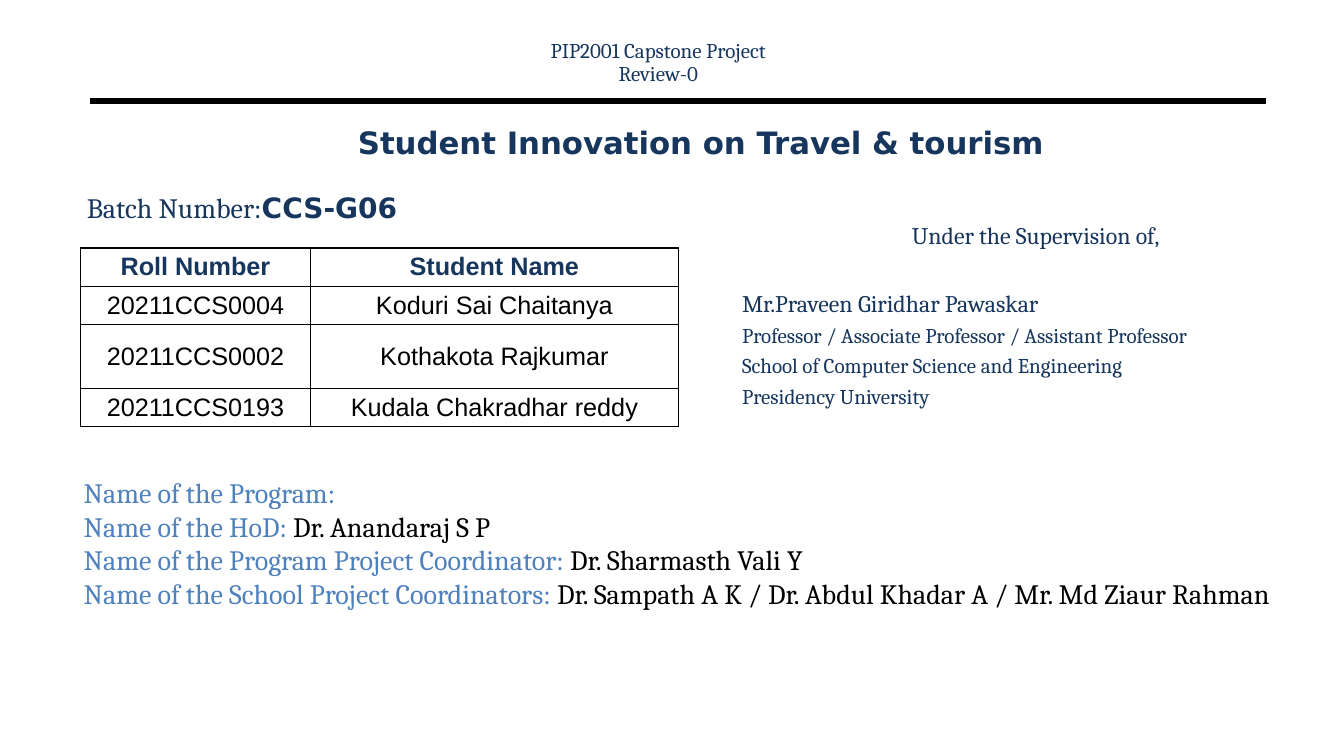
from dataclasses import dataclass

from lxml.etree import SubElement
from pptx import Presentation
from pptx.dml.color import RGBColor
from pptx.enum.shapes import MSO_CONNECTOR
from pptx.enum.text import MSO_ANCHOR, MSO_AUTO_SIZE, PP_ALIGN
from pptx.oxml.ns import qn
from pptx.util import Inches, Pt

NAVY = RGBColor(0x17, 0x36, 0x5D)
BLUE = RGBColor(0x4F, 0x81, 0xBD)
BLACK = RGBColor(0x00, 0x00, 0x00)

SERIF = "Cambria"
SANS = "DejaVu Sans"
TABLE_FONT = "Arial"

# The slide is divided into 100 columns and 100 rows
SLIDE_WIDTH, SLIDE_HEIGHT = Inches(13.33), Inches(7.5)
INSET = Inches(0.05)


@dataclass(frozen=True)
class Box:
    left: float
    top: float
    width: float
    height: float


@dataclass(frozen=True)
class SupervisorLine:
    text: str
    size: float
    space_before: float


@dataclass(frozen=True)
class StaffRole:
    label: str
    names: str = ""


HEADER_BOX = Box(33.08, 4.93, 31.8, 8)
TITLE_BOX = Box(6.3, 14.8, 91.68, 8)
BATCH_BOX = Box(6.08, 24.53, 32.56, 7.87)
SUPERVISOR_BOX = Box(54.84, 28.53, 44.48, 29.47)
STAFF_BOX = Box(5.85, 62.27, 94.15, 18.4)
RULE_LEFT, RULE_RIGHT, RULE_ROW = 6.68, 94.22, 13.33
TABLE_LEFT, TABLE_TOP = 6, 32.8
TABLE_COLUMNS = (17.1, 27.38)
TABLE_ROWS = (5, 5, 8.4, 5)

STUDENTS = (
    ("Roll Number", "Student Name"),
    ("20211CCS0004", "Koduri Sai Chaitanya"),
    ("20211CCS0002", "Kothakota Rajkumar"),
    ("20211CCS0193", "Kudala Chakradhar reddy"),
)
SUPERVISOR = (
    SupervisorLine("Mr.Praveen Giridhar Pawaskar", 17, 26),
    SupervisorLine("Professor / Associate Professor / Assistant Professor", 15, 2),
    SupervisorLine("School of Computer Science and Engineering", 15, 2),
    SupervisorLine("Presidency University", 15, 2),
)
STAFF = (
    StaffRole("Name of the Program:"),
    StaffRole("Name of the HoD: ", "Dr. Anandaraj S P"),
    StaffRole("Name of the Program Project Coordinator: ", "Dr. Sharmasth Vali Y"),
    StaffRole("Name of the School Project Coordinators: ",
              "Dr. Sampath A K / Dr. Abdul Khadar A / Mr. Md Ziaur Rahman"),
)


def across(columns: float) -> int:
    return round(SLIDE_WIDTH * columns / 100)


def down(rows: float) -> int:
    return round(SLIDE_HEIGHT * rows / 100)


def place(shape, box: Box) -> None:
    shape.left, shape.top = across(box.left), down(box.top)
    shape.width, shape.height = across(box.width), down(box.height)


def prepare_frame(text_frame, anchor=MSO_ANCHOR.TOP):
    text_frame.word_wrap = True
    text_frame.auto_size = MSO_AUTO_SIZE.NONE
    text_frame.vertical_anchor = anchor
    text_frame.margin_left = text_frame.margin_right = INSET
    text_frame.margin_top = text_frame.margin_bottom = INSET
    return text_frame


def add_text_box(slide, box: Box):
    shape = slide.shapes.add_textbox(0, 0, 0, 0)
    place(shape, box)
    return prepare_frame(shape.text_frame)


def next_paragraph(text_frame, align=PP_ALIGN.LEFT, line_spacing: float = 1.0,
                   space_before: float = 0):
    paragraph = text_frame.paragraphs[-1]
    if paragraph.runs:
        paragraph = text_frame.add_paragraph()
    paragraph.alignment = align
    paragraph.line_spacing = line_spacing
    paragraph.space_before = Pt(space_before)
    return paragraph


def write(paragraph, text: str, size: float, font: str = SERIF,
          color: RGBColor = NAVY, bold: bool = False) -> None:
    run = paragraph.add_run()
    run.text = text
    run.font.name = font
    run.font.size = Pt(size)
    run.font.bold = bold
    run.font.color.rgb = color


def outline_cell(cell) -> None:
    properties = cell._tc.get_or_add_tcPr()
    for side in ("a:lnL", "a:lnR", "a:lnT", "a:lnB"):
        line = SubElement(properties, qn(side), w=str(Pt(1)))
        fill = SubElement(line, qn("a:solidFill"))
        SubElement(fill, qn("a:srgbClr"), val=str(BLACK))


def add_header(slide) -> None:
    text_frame = add_text_box(slide, HEADER_BOX)
    for text, space_before in (("PIP2001 Capstone Project", 0), ("Review-0", 2)):
        write(next_paragraph(text_frame, PP_ALIGN.CENTER, 0.8, space_before), text, 15)

    rule = slide.shapes.add_connector(
        MSO_CONNECTOR.STRAIGHT, across(RULE_LEFT), down(RULE_ROW),
        across(RULE_RIGHT), down(RULE_ROW))
    rule.line.color.rgb = BLACK
    rule.line.width = Pt(4.5)
    SubElement(rule._element.spPr, qn("a:effectLst"))


def fill_placeholders(slide) -> None:
    title, batch = slide.shapes.title, slide.placeholders[1]
    place(title, TITLE_BOX)
    title_frame = prepare_frame(title.text_frame, MSO_ANCHOR.MIDDLE)
    write(next_paragraph(title_frame, PP_ALIGN.CENTER),
          "Student Innovation on Travel & tourism", 22, font=SANS, bold=True)

    place(batch, BATCH_BOX)
    paragraph = next_paragraph(prepare_frame(batch.text_frame))
    write(paragraph, "Batch Number:", 20)
    write(paragraph, "CCS-G06", 20, font=SANS, bold=True)


def add_student_table(slide) -> None:
    table = slide.shapes.add_table(
        len(TABLE_ROWS), len(TABLE_COLUMNS), across(TABLE_LEFT), down(TABLE_TOP),
        across(sum(TABLE_COLUMNS)), down(sum(TABLE_ROWS))).table
    table.horz_banding = False
    for column, width in zip(table.columns, TABLE_COLUMNS):
        column.width = across(width)
    for row_index, (height, student) in enumerate(zip(TABLE_ROWS, STUDENTS)):
        table.rows[row_index].height = down(height)
        is_heading = row_index == 0
        for column_index, text in enumerate(student):
            cell = table.cell(row_index, column_index)
            outline_cell(cell)
            cell.fill.background()
            cell.vertical_anchor = MSO_ANCHOR.MIDDLE
            cell.margin_left = cell.margin_right = INSET
            cell.margin_top = cell.margin_bottom = INSET
            write(next_paragraph(cell.text_frame, PP_ALIGN.CENTER), text, 18,
                  font=TABLE_FONT, color=NAVY if is_heading else BLACK, bold=is_heading)


def add_supervisor(slide) -> None:
    text_frame = add_text_box(slide, SUPERVISOR_BOX)
    write(next_paragraph(text_frame, PP_ALIGN.CENTER), "Under the Supervision of,", 17)
    for line in SUPERVISOR:
        paragraph = next_paragraph(text_frame, line_spacing=1.1,
                                   space_before=line.space_before)
        write(paragraph, line.text, line.size)


def add_staff(slide) -> None:
    text_frame = add_text_box(slide, STAFF_BOX)
    for role in STAFF:
        paragraph = next_paragraph(text_frame)
        write(paragraph, role.label, 20, color=BLUE)
        if role.names:
            write(paragraph, role.names, 20, color=BLACK)


def main() -> None:
    presentation = Presentation()
    presentation.slide_width, presentation.slide_height = SLIDE_WIDTH, SLIDE_HEIGHT
    slide = presentation.slides.add_slide(presentation.slide_layouts[0])
    add_header(slide)
    fill_placeholders(slide)
    add_student_table(slide)
    add_supervisor(slide)
    add_staff(slide)
    presentation.save("out.pptx")


if __name__ == "__main__":
    main()
